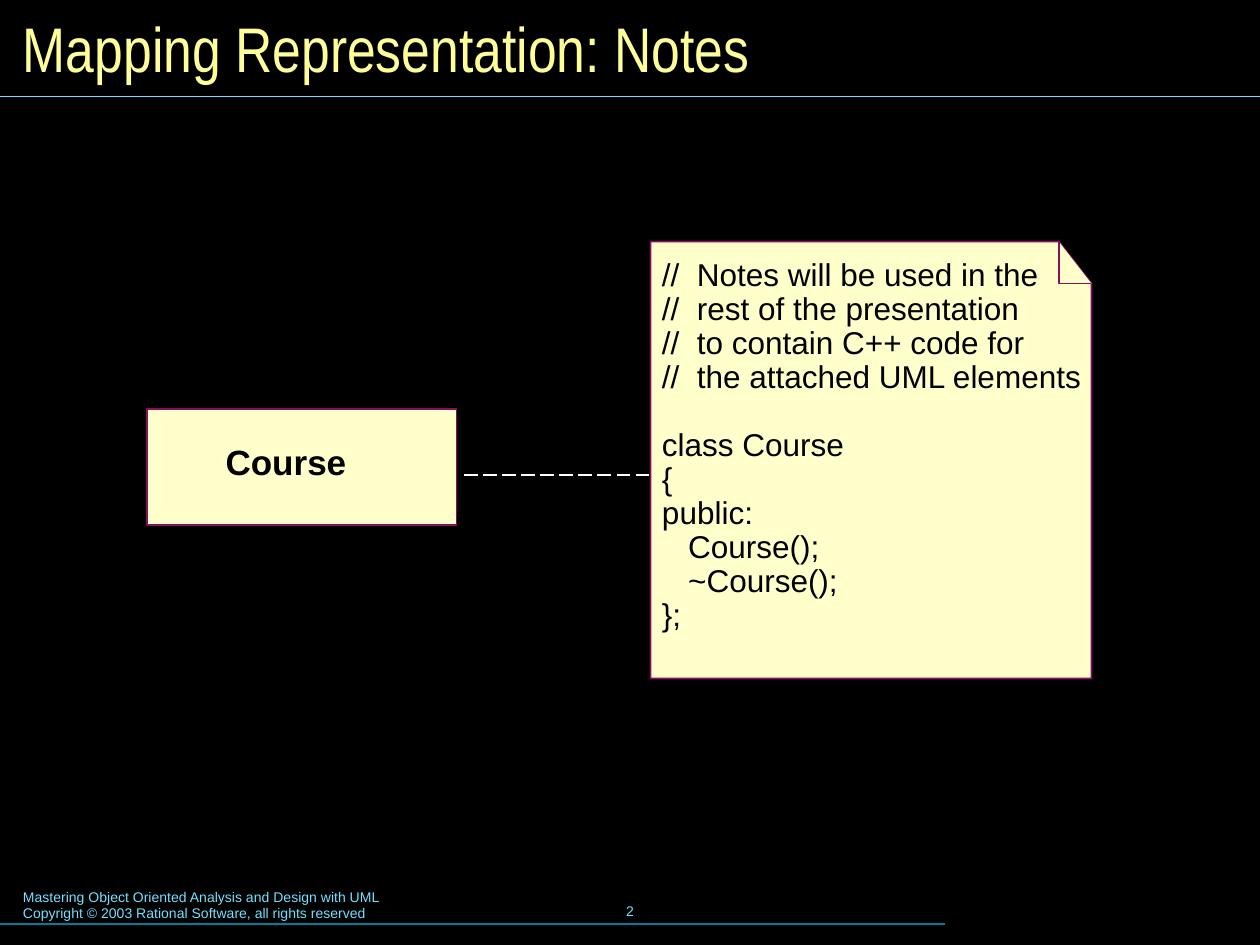
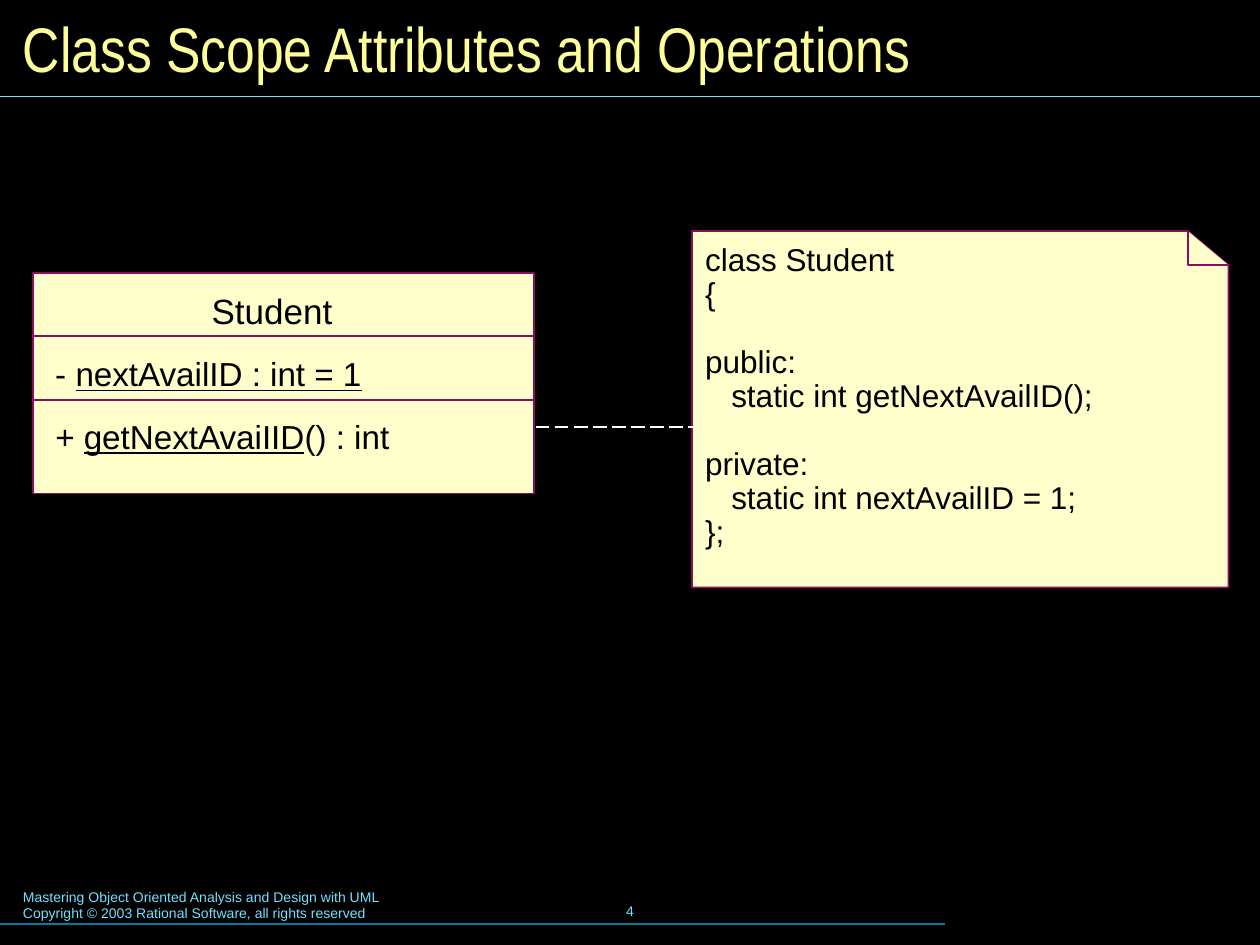
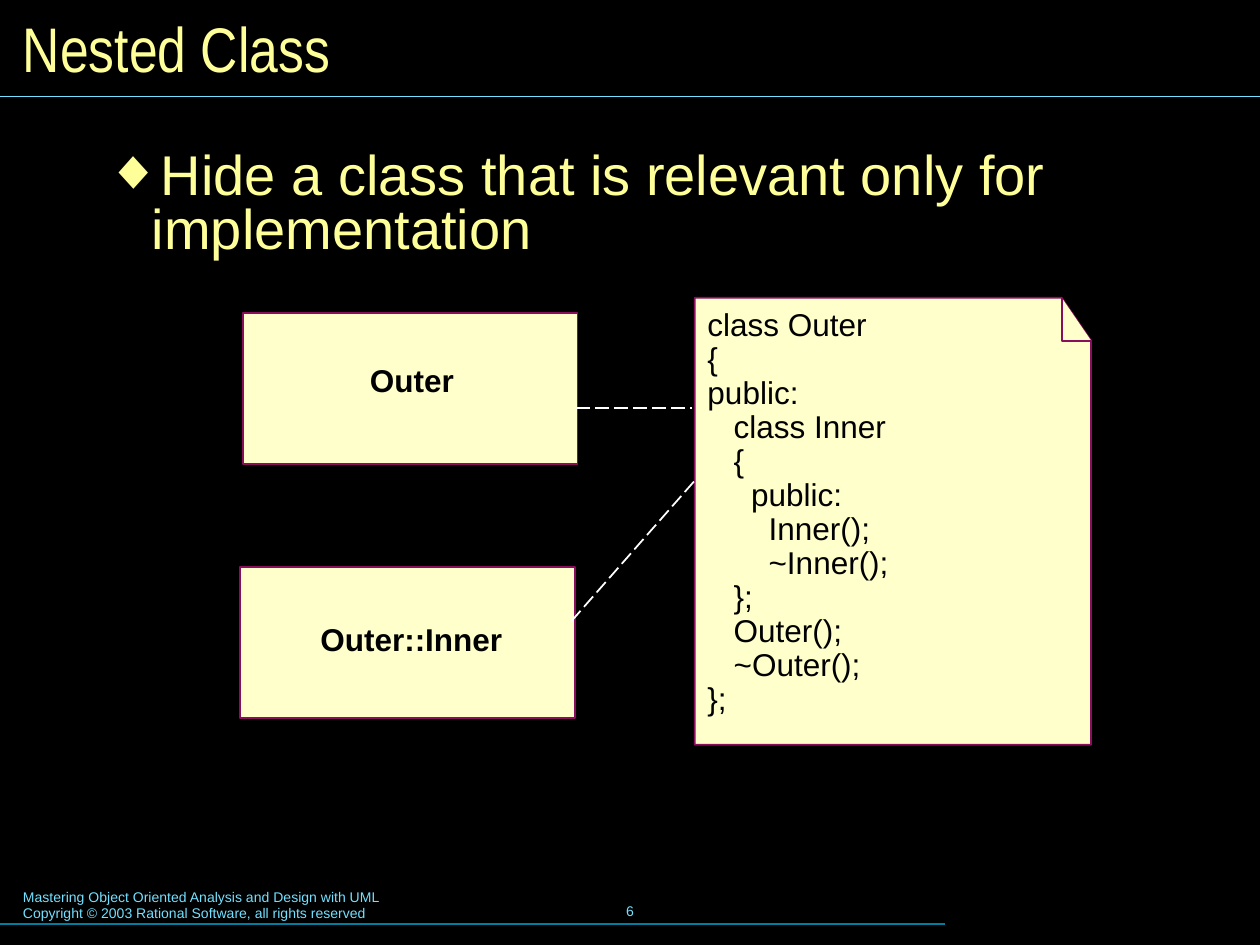
from lxml.etree import SubElement
from pptx import Presentation
from pptx.dml.color import RGBColor
from pptx.enum.dml import MSO_LINE_DASH_STYLE as DASH
from pptx.enum.shapes import MSO_CONNECTOR as CONN, MSO_SHAPE as SHAPE
from pptx.enum.text import MSO_ANCHOR as ANCHOR, PP_ALIGN as ALIGN
from pptx.oxml.ns import qn
from pptx.util import Pt

COLORS = {
    "background": "000000", "title": "FFFF99", "rule": "73E1FF", "footer_rule": "007E9F",
    "paper": "FFFFCC", "outline": "8A0E5E", "ink": "000000", "link": "FFFFFF",
}
FOOTER = ("Mastering Object Oriented Analysis and Design with UML\n"
          "Copyright © 2003 Rational Software, all rights reserved")
BLANK_LINE = 19.4  # height of an empty line of code

NOTE_CODE = """//  Notes will be used in the
//  rest of the presentation
//  to contain C++ code for
//  the attached UML elements

class Course
{
public:
   Course();
   ~Course();
};"""

STUDENT_CODE = """class Student
{

public:
   static int getNextAvailID();

private:
   static int nextAvailID = 1;
};"""

OUTER_CODE = """class Outer
{
public:
   class Inner
   {
     public:
       Inner();
       ~Inner();
   };
   Outer();
   ~Outer();
};"""


def rgb(name):
    return RGBColor.from_string(COLORS[name])


def add_bullet(p, char, color, font, indent):
    pPr = p._p.get_or_add_pPr()
    pPr.set("marL", str(Pt(indent)))
    pPr.set("indent", str(-Pt(indent)))
    clr = SubElement(pPr, qn("a:buClr"))
    SubElement(clr, qn("a:srgbClr"), val=COLORS[color])
    SubElement(pPr, qn("a:buFont"), typeface=font)
    SubElement(pPr, qn("a:buChar"), char=char)


def write(tf, text, size=18, color="ink", font="Arial", bold=False, underline="",
          align=ALIGN.LEFT, spacing=None, bullet=None, indent=0):
    """Fill a frame line by line; an empty line becomes space before the next."""
    p, gap = tf.paragraphs[0], 0
    for i, line in enumerate(text.split("\n")):
        if not line:
            gap += BLANK_LINE
            continue
        if i:
            p = tf.add_paragraph()
        if bullet:
            add_bullet(p, bullet, color, font, indent)
        p.alignment = align
        if spacing:
            p.line_spacing = spacing
        if gap:
            p.space_before, gap = Pt(gap), 0
        parts = line.partition(underline) if underline else (line,)
        for part in filter(None, parts):
            r = p.add_run()
            r.text = part
            r.font.size, r.font.name, r.font.bold = Pt(size), font, bold
            r.font.underline = part == underline
            r.font.color.rgb = rgb(color)


class Deck:
    def __init__(self):
        self.prs = Presentation()
        self.prs.slide_width, self.prs.slide_height = Pt(720), Pt(540)
        fill = self.prs.slide_master.background.fill
        fill.solid()
        fill.fore_color.rgb = rgb("background")
        self.shapes = None

    def slide(self, title, number):
        s = self.prs.slides.add_slide(self.prs.slide_layouts[6])
        self.shapes = s.shapes
        # Footer and rules
        self.text(6, 504, 367, 27, FOOTER, size=8, color="rule")
        self.text(246, 502.5, 228, 36, str(number), anchor=ANCHOR.MIDDLE,
                  size=8, color="rule", align=ALIGN.CENTER)
        self.line(0, 528, 540, 528, "footer_rule", 0.75)
        self.line(0, 55, 720, 55, "rule", 0.75)
        # Title
        self.text(6, 6, 708, 42, title, anchor=ANCHOR.MIDDLE,
                  size=36, color="title", font="Arial Narrow")

    def text(self, x, y, w, h, text, anchor=ANCHOR.TOP, **fmt):
        tf = self.shapes.add_textbox(Pt(x), Pt(y), Pt(w), Pt(h)).text_frame
        tf.word_wrap, tf.vertical_anchor = True, anchor
        write(tf, text, **fmt)

    def line(self, x1, y1, x2, y2, color="outline", width=1, dash=None):
        c = self.shapes.add_connector(CONN.STRAIGHT, Pt(x1), Pt(y1), Pt(x2), Pt(y2))
        c.line.color.rgb, c.line.width = rgb(color), Pt(width)
        if dash:
            c.line.dash_style = dash
        SubElement(c._element.spPr, qn("a:effectLst"))

    def link(self, x1, y1, x2, y2):
        self.line(x1, y1, x2, y2, "link", dash=DASH.LONG_DASH)

    def paper(self, sp):
        sp.shadow.inherit = False
        sp.fill.solid()
        sp.fill.fore_color.rgb = rgb("paper")
        sp.line.color.rgb, sp.line.width = rgb("outline"), Pt(1)

    def box(self, x, y, w, h):
        self.paper(self.shapes.add_shape(SHAPE.RECTANGLE, Pt(x), Pt(y), Pt(w), Pt(h)))

    def outline(self, points, close):
        start, *rest = [(Pt(x), Pt(y)) for x, y in points]
        builder = self.shapes.build_freeform(*start)
        builder.add_line_segments(rest, close=close)
        self.paper(builder.convert_to_shape())

    def note(self, x, y, w, h, fold_w, fold_h, code, text_dx, text_dy):
        """A sheet with a folded corner, holding code."""
        right, bottom = x + w, y + h
        fold_top, fold_end = (right - fold_w, y), (right, y + fold_h)
        self.outline([(right, bottom), (x, bottom), (x, y), fold_top, fold_end], True)
        self.outline([fold_end, (right - fold_w, y + fold_h), fold_top], False)
        self.text(x + text_dx, y + text_dy, w + 10, h - 20, code, spacing=0.9)

    def label(self, x, y, w, text, size=18, **fmt):
        self.text(x, y, w, 29, text, size=size, **fmt)


def main():
    deck = Deck()

    # Notes
    deck.slide("Mapping Representation: Notes", 2)
    deck.note(371.7, 138, 252, 249.8, 18.7, 24, NOTE_CODE, -0.5, 6.7)
    deck.link(265, 271.4, 371, 271.4)
    deck.box(84, 233.6, 177, 66.4)
    deck.label(121.8, 250.8, 90, "Course", size=20, bold=True, spacing=0.9)

    # Class scope
    deck.slide("Class Scope Attributes and Operations", 4)
    deck.note(395.5, 132, 306.5, 203.7, 23.3, 19.5, STUDENT_CODE, 0.3, 4)
    deck.link(306, 244.2, 396, 244.2)
    deck.box(18.7, 156, 286.3, 126)
    for y in (192, 228.5):
        deck.line(18.5, y, 305.5, y)
    deck.label(113.8, 162, 90, "Student", size=20)
    deck.label(24.5, 198.5, 200, "- nextAvailID : int = 1", size=19,
               underline="nextAvailID : int = 1")
    deck.label(24.5, 234.2, 215, "+ getNextAvaiIID() : int", size=19,
               underline="getNextAvaiIID")

    # Nested class
    deck.slide("Nested Class", 6)
    deck.box(138.7, 179, 191.3, 86.2)
    deck.box(137.2, 324, 191.3, 86.2)
    deck.note(397, 170.2, 226.5, 255.4, 16.8, 24.5, OUTER_CODE, 0.2, 3)
    deck.label(204.3, 205, 70, "Outer", bold=True, spacing=0.9)
    deck.label(176, 353.2, 125, "Outer::Inner", bold=True, spacing=0.9)
    deck.link(329, 233.3, 395.5, 233.3)
    deck.link(326.5, 355, 396.7, 275)
    deck.text(53, 83.5, 666, 396, "Hide a class that is relevant only for implementation",
              size=32, color="title", spacing=0.8, bullet="◆", indent=26.64)

    deck.prs.save("out.pptx")


if __name__ == "__main__":
    main()
